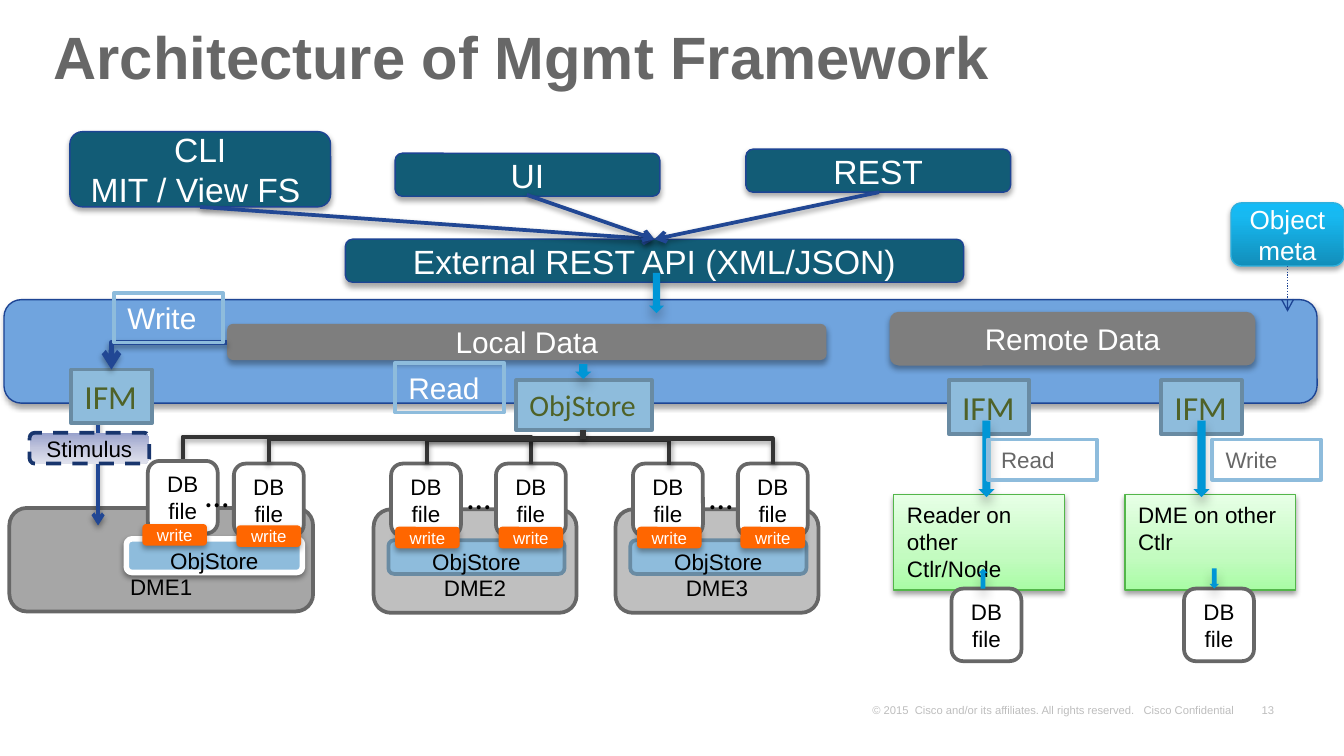
from dataclasses import dataclass

from lxml import etree
from pptx import Presentation
from pptx.dml.color import RGBColor
from pptx.enum.dml import MSO_LINE
from pptx.enum.shapes import MSO_CONNECTOR, MSO_SHAPE
from pptx.enum.text import MSO_ANCHOR, PP_ALIGN
from pptx.oxml.ns import qn
from pptx.util import Pt

PX = 9144  # EMU; 100 px to the inch
RECT, ROUND = MSO_SHAPE.RECTANGLE, MSO_SHAPE.ROUNDED_RECTANGLE
DOWN, UP = MSO_SHAPE.DOWN_ARROW, MSO_SHAPE.UP_ARROW
STRAIGHT, ELBOW = MSO_CONNECTOR.STRAIGHT, MSO_CONNECTOR.ELBOW
DASH, DOT = MSO_LINE.DASH, MSO_LINE.ROUND_DOT
TOP, MID, LOW = MSO_ANCHOR.TOP, MSO_ANCHOR.MIDDLE, MSO_ANCHOR.BOTTOM
LEFT, MIDST, RIGHT = PP_ALIGN.LEFT, PP_ALIGN.CENTER, PP_ALIGN.RIGHT


@dataclass(frozen=True)
class Theme:
    black: str = "000000"
    white: str = "FFFFFF"
    gray: str = "676767"
    slate: str = "7E7E7E"
    silver: str = "BFBFBF"
    ash: str = "A6A6A6"
    coal: str = "343434"
    teal: str = "125C76"
    navy: str = "1D4494"
    ink: str = "214794"
    deep: str = "18356D"
    band: str = "70A4DE"
    pale: str = "8EBCDC"
    steel: str = "698BA3"
    olive: str = "4F6228"
    orange: str = "FF6600"
    bright: str = "0096D6"
    cyan: str = "2DB0DE"
    leaf: str = "53B64A"
    sky: tuple = (270, (0, "128EBA"), (80, "17B9F1"), (100, "13BBF7"))
    green: tuple = (270, (0, "A9FCA5"), (35, "C3FBC0"), (100, "E7FFE6"))
    lilac: tuple = (90, (0, "97A0CB"), (50, "C1C5DD"), (100, "E1E3EE"))
    # shades: opacity %, blur pt, distance pt
    soft: tuple = (35, 3.1, 1.8)
    firm: tuple = (38, 3.1, 1.6)
    far: tuple = (27, 6, 4)
    tiny: int = 6
    small: int = 9
    body: int = 12
    note: int = 14
    head: int = 16
    lead: int = 18
    title: int = 32
    sans: str = "Arial"
    alt: str = "Calibri"


T = Theme()
IFM = dict(size=T.lead, color=T.olive, name=T.alt, align=LEFT, anchor=TOP, wrap=False)


def apply(item, **values):
    for key, value in values.items():
        setattr(item, key, value)


def rgb(code):
    return RGBColor.from_string(code)


def node(parent, tag, **values):
    return etree.SubElement(parent, qn(tag), {k: str(v) for k, v in values.items()})


def shade(item, look):
    """Replace the theme effect by an outer shadow, or by nothing."""
    props = item._element.spPr
    group = props.find(qn("a:effectLst"))
    if group is None:
        group = node(props, "a:effectLst")
    if look:
        alpha, blur, dist = look
        drop = node(group, "a:outerShdw", blurRad=Pt(blur), dist=Pt(dist),
                    dir=5400000, rotWithShape=0)
        tint = node(drop, "a:srgbClr", val=T.black)
        node(tint, "a:alpha", val=alpha * 1000)


def paint(shape, fill):
    if fill is None:
        shape.fill.background()
    elif isinstance(fill, str):
        shape.fill.solid()
        shape.fill.fore_color.rgb = rgb(fill)
    else:
        angle, *stops = fill
        shape.fill.gradient()
        shape.fill.gradient_angle = 360 - angle
        group = shape._element.spPr.find(qn("a:gradFill")).find(qn("a:gsLst"))
        group.clear()
        for spot, code in stops:
            node(node(group, "a:gs", pos=spot * 1000), "a:srgbClr", val=code)


def stroke(item, color, width, dash=None):
    item.line.color.rgb = rgb(color)
    apply(item.line, width=Pt(width), dash_style=dash)


def write(shape, text, size=T.body, color=T.black, name=T.sans, bold=False, align=MIDST,
          anchor=MID, wrap=True, alpha=None, inset=(10, 5), space=None):
    side, edge = (n * PX for n in inset)
    frame = shape.text_frame
    apply(frame, word_wrap=wrap, vertical_anchor=anchor, margin_left=side,
          margin_right=side, margin_top=edge, margin_bottom=edge, text=text)
    for para in frame.paragraphs:
        apply(para, alignment=align, line_spacing=space)
        for run in para.runs:
            apply(run.font, size=Pt(size), name=name, bold=bold)
            run.font.color.rgb = rgb(color)
            if alpha:
                tint = next(run._r.iter(qn("a:srgbClr")))
                node(tint, "a:alpha", val=alpha * 1000)


def label(slide, box, text, **style):
    write(slide.shapes.add_textbox(*(n * PX for n in box)), text, **style)


def block(slide, box, fill, line=None, look=None, text=None, kind=ROUND, **style):
    shape = slide.shapes.add_shape(kind, *(n * PX for n in box))
    paint(shape, fill)
    if line:
        stroke(shape, *line)
    else:
        shape.line.fill.background()
    shape.shadow.inherit = False
    shade(shape, look)
    if text:
        write(shape, text, **style)


def link(slide, ends, line, look=T.firm, arrow=True, kind=STRAIGHT):
    wire = slide.shapes.add_connector(kind, *(round(n * PX) for n in ends))
    stroke(wire, *line)
    props = wire._element.spPr
    if arrow:
        node(props.find(qn("a:ln")), "a:tailEnd", type="arrow")
    shade(wire, look)
    return props


def bridge(slide, right, left, top):
    """Join two points by an elbow that climbs to top and comes down again."""
    (x1, y1), (x2, y2) = right, left
    x, y, w, h = (x1 + x2) / 2, (y1 + y2) / 2, y1 - y2, x1 - x2
    props = link(slide, (x - w / 2, y - h / 2, x + w / 2, y + h / 2),
                 (T.coal, 2.25), arrow=False, kind=ELBOW)
    frame = props.find(qn("a:xfrm"))
    frame.set("rot", "16200000")
    frame.set("flipV", "1")
    guides = props.find(qn("a:prstGeom")).find(qn("a:avLst"))
    node(guides, "a:gd", name="adj1", fmla=f"val {round((y1 - top) / w * 100000)}")


def arrow(slide, box, kind=DOWN):
    block(slide, box, T.bright, look=T.far, kind=kind)


def store(slide, x, y):
    block(slide, (x, y, 52, 54), T.white, (T.gray, 2), text="DB\nfile")


def ifm(slide, x, y):
    block(slide, (x, y, 60, 40), T.pale, (T.steel, 2), text="IFM", kind=RECT, **IFM)


def tag(slide, box, text, **style):
    block(slide, box, None, (T.pale, 2), text=text, kind=RECT, align=LEFT, anchor=TOP, **style)


def engine(slide, box, name, fill, shelf, files, dots, marks, line=(T.steel, 2), look=None):
    """Draw a DME with its object store, files and write marks, offset from its corner."""
    x, y = box[:2]
    block(slide, box, fill, (T.gray, 2), text=name, anchor=LOW)
    block(slide, (x + shelf, y + 23, 131, 25), T.pale, line, look, "ObjStore", anchor=TOP)
    for dx, dy in files:
        store(slide, x + dx, y + dy)
    label(slide, (x + dots, y - 30, 38, 40), "…", size=T.lead, name=T.alt,
          align=LEFT, anchor=TOP, wrap=False)
    for dx, dy in marks:
        block(slide, (x + dx, y + dy, 48, 16), T.orange, None, T.soft, "write",
              size=T.small, color=T.white)


def remote(slide, x, y, text, verb, gate, flow, side, base, kind):
    """Draw the chain from an IFM to a far file; gate, flow, side and base are offsets from x."""
    ifm(slide, x + gate, y)
    block(slide, (x, y + 85, 127, 71), T.green, (T.leaf, 0.75), T.firm, text,
          kind=RECT, align=LEFT, anchor=TOP)
    arrow(slide, (x + flow, y + 30, 12, 57))
    store(slide, x + base, y + 155)
    arrow(slide, (x + 63, y + 140, 7, 15), kind)
    tag(slide, (x + side, y + 44, 81, 30), verb, color=T.gray)


def frame(slide):
    foot = dict(size=T.tiny, alpha=25, anchor=LOW, inset=(7, 3))
    label(slide, (931, 519, 24, 17), "13", align=RIGHT, wrap=False, **foot)
    label(slide, (642, 519, 291, 17), "© 2015  Cisco and/or its affiliates. "
          "All rights reserved.   Cisco Confidential", align=LEFT, **foot)
    label(slide, (30, 12, 938, 69), "Architecture of Mgmt Framework", size=T.title,
          color=T.gray, bold=True, align=LEFT, space=0.8)


def engines(slide):
    for x, name in ((278, "DME2"), (458, "DME3")):
        engine(slide, (x, 379, 151, 77), name, T.silver, 11, ((13, -34), (91, -34)),
               60, ((16, 13), (93, 13)))
    bridge(slide, (395, 345), (136, 343), 325)
    bridge(slide, (498, 346), (318, 345), 327)
    block(slide, (384, 283, 101, 37), T.pale, (T.steel, 2), text="ObjStore", kind=RECT,
          **{**IFM, "size": T.head})
    engine(slide, (7, 378, 226, 77), "DME1", T.ash, 87, ((103, -35), (167, -33)),
           136, ((99, 12), (169, 13)), (T.white, 3), T.firm)
    bridge(slide, (575, 345), (200, 344), 326)
    link(slide, (434, 320, 434, 327), (T.coal, 3), arrow=False)


def clients(slide):
    for box, text in (((257, 178, 460, 32), "External REST API (XML/JSON)"),
                      ((52, 98, 194, 56), "CLI\nMIT / View FS "),
                      ((294, 114, 197, 32), "UI"), ((555, 111, 197, 32), "REST")):
        block(slide, box, T.teal, (T.navy, 0.75), T.soft, text, size=T.lead, color=T.white)
    for x, y in ((149, 154), (392, 145), (654, 143)):
        link(slide, (x, y, 487, 178), (T.ink, 2))
    arrow(slide, (483, 203, 11, 30))


def data(slide):
    for box, text in (((169, 241, 446, 27), "Local Data"), ((662, 232, 272, 40), "Remote Data")):
        block(slide, box, T.slate, None, T.soft, text, size=T.head, color=T.white)
    block(slide, (916, 151, 84, 47), T.sky, (T.cyan, 0.75), T.soft, "Object\nmeta",
          size=T.note, color=T.white)
    link(slide, (958, 198, 958, 232), (T.navy, 0.75, DOT), None)
    arrow(slide, (428, 271, 12, 11))


def local(slide):
    link(slide, (73, 297, 73, 391), (T.ink, 2))
    ifm(slide, 53, 275)
    block(slide, (22, 322, 89, 23), T.lilac, (T.deep, 2, DASH), text="Stimulus")
    bend = link(slide, (169, 255, 83, 275), (T.ink, 3), T.soft, kind=ELBOW)
    bend.find(qn("a:prstGeom")).set("prst", "bentConnector2")
    for x, y, text in ((85, 218, "Write"), (294, 270, "Read")):
        tag(slide, (x, y, 81, 37), text, size=T.head, color=T.white)


def main():
    deck = Presentation()
    wide = 1000 * PX
    apply(deck, slide_width=wide, slide_height=wide * 9 // 16)
    slide = deck.slides.add_slide(deck.slide_layouts[6])
    frame(slide)
    block(slide, (3, 223, 977, 77), T.band, (T.navy, 0.75), T.soft)
    engines(slide)
    data(slide)
    clients(slide)
    local(slide)
    remote(slide, 665, 283, "Reader on other Ctlr/Node", "Read", 41, 63, 70, 43, UP)
    remote(slide, 837, 283, "DME on other Ctlr", "Write", 27, 51, 65, 44, DOWN)
    deck.save("out.pptx")


if __name__ == "__main__":
    main()
